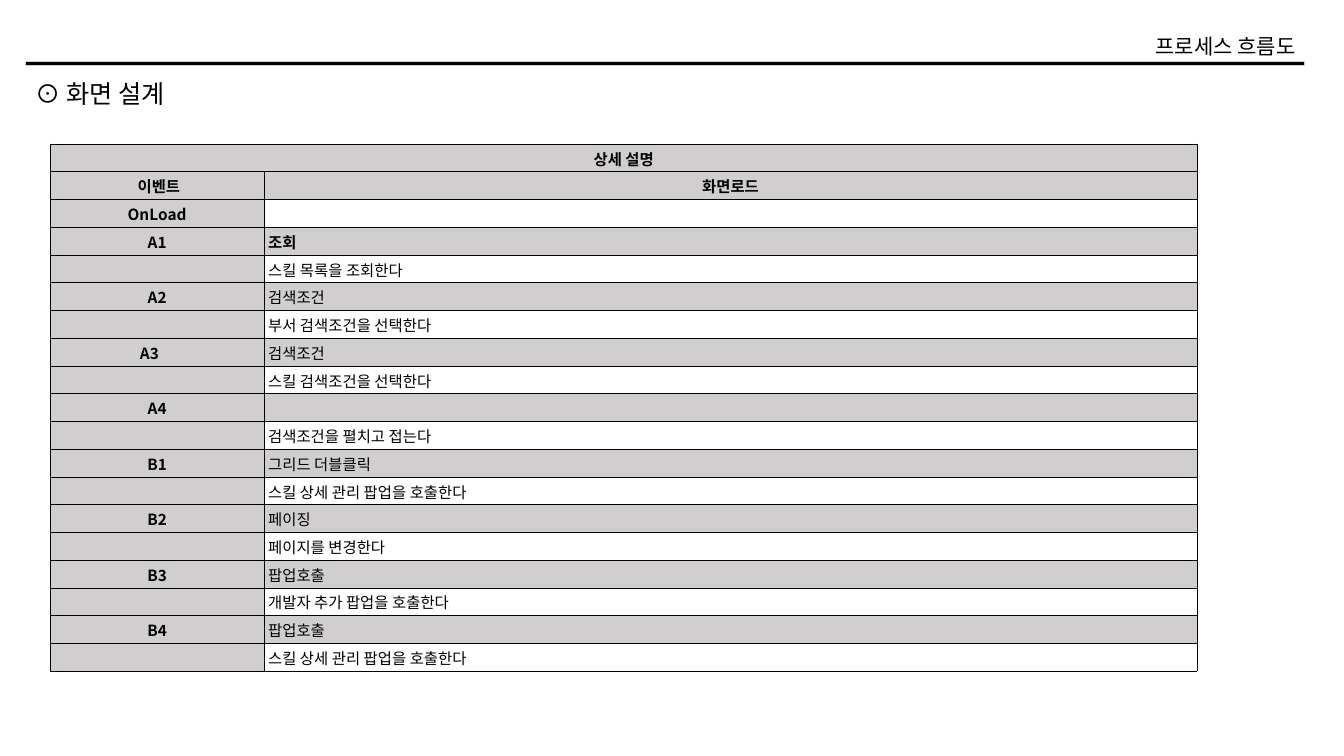
from dataclasses import dataclass

from lxml import etree
from pptx import Presentation
from pptx.dml.color import RGBColor
from pptx.enum.shapes import MSO_SHAPE
from pptx.enum.text import MSO_ANCHOR, MSO_AUTO_SIZE, PP_ALIGN
from pptx.util import Cm, Pt

LEFT, MID, RIGHT = PP_ALIGN.LEFT, PP_ALIGN.CENTER, PP_ALIGN.RIGHT
CENTRE = MSO_ANCHOR.MIDDLE
GROW = MSO_AUTO_SIZE.SHAPE_TO_FIT_TEXT
RECT = MSO_SHAPE.RECTANGLE
FONT = "Noto Sans CJK KR"
BLACK, GREY = "000000", "D0CECE"
BODY = 11
NS = "http://schemas.openxmlformats.org/drawingml/2006/main"


@dataclass
class Title:
    text: str
    left: float
    top: float
    width: float
    height: float
    size: int
    align: PP_ALIGN


@dataclass
class Event:
    code: str
    name: str
    detail: str
    bold: bool = False


@dataclass
class Entry:
    text: str
    align: PP_ALIGN = LEFT
    bold: bool = False
    fill: str = ""


TITLES = [
    Title("프로세스 흐름도", 28.45, 0.71, 4.45, 0.89, 15, RIGHT),
    Title("⊙ 화면 설계", 0.64, 1.85, 4.14, 1.02, 18, LEFT),
]
EVENTS = [
    Event("A1", " 조회", " 스킬 목록을 조회한다", True),
    Event("A2", " 검색조건", " 부서 검색조건을 선택한다"),
    Event("A3\u3000", " 검색조건", " 스킬 검색조건을 선택한다"),
    Event("A4", "", " 검색조건을 펼치고 접는다"),
    Event("B1", " 그리드 더블클릭", " 스킬 상세 관리 팝업을 호출한다"),
    Event("B2", " 페이징", " 페이지를 변경한다"),
    Event("B3", " 팝업호출", " 개발자 추가 팝업을 호출한다"),
    Event("B4", " 팝업호출", " 스킬 상세 관리 팝업을 호출한다"),
]


def color(code: str) -> RGBColor:
    return RGBColor.from_string(code)


def write(para, text: str, size: int, align: PP_ALIGN, bold: bool = False) -> None:
    para.alignment = align
    run = para.add_run()
    run.text = text
    font = run.font
    font.name, font.size, font.bold = FONT, Pt(size), bold
    font.color.rgb = color(BLACK)
    # East Asian text takes its typeface from a:ea
    etree.SubElement(run._r.get_or_add_rPr(), f"{{{NS}}}ea", typeface=FONT)


def head(text: str) -> Entry:
    return Entry(text, MID, True, GREY)


def draw_title(slide, item: Title) -> None:
    box = slide.shapes.add_textbox(
        Cm(item.left), Cm(item.top), Cm(item.width), Cm(item.height))
    frame = box.text_frame
    frame.word_wrap = False
    frame.auto_size = GROW
    write(frame.paragraphs[0], item.text, item.size, item.align)


def draw_edges(cell) -> None:
    props = cell._tc.get_or_add_tcPr()
    for side in ("lnL", "lnR", "lnT", "lnB"):
        edge = etree.SubElement(props, f"{{{NS}}}{side}", w=str(Pt(0.5)))
        fill = etree.SubElement(edge, f"{{{NS}}}solidFill")
        etree.SubElement(fill, f"{{{NS}}}srgbClr", val=BLACK)


def draw_cell(cell, entry: Entry) -> None:
    draw_edges(cell)
    cell.vertical_anchor = CENTRE
    cell.margin_left = cell.margin_right = cell.margin_top = Cm(0.02)
    cell.margin_bottom = 0
    if entry.fill:
        cell.fill.solid()
        cell.fill.fore_color.rgb = color(entry.fill)
    else:
        cell.fill.background()
    para = cell.text_frame.paragraphs[0]
    if entry.text:
        write(para, entry.text, BODY, entry.align, entry.bold)
    else:
        # Keeps an empty cell from stretching its row
        etree.SubElement(para._p, f"{{{NS}}}endParaRPr", sz=str(BODY * 100))


def draw_table(slide, rows: list[list[Entry]]) -> None:
    widths = (5.38, 23.52)
    high = Cm(0.7)
    table = slide.shapes.add_table(
        len(rows), len(widths), Cm(1.27), Cm(3.63),
        Cm(sum(widths)), high * len(rows)).table
    table.first_row = table.horz_banding = False
    for col, width in zip(table.columns, widths):
        col.width = Cm(width)
    for num, row in enumerate(rows):
        table.rows[num].height = high
        for col, entry in enumerate(row):
            draw_cell(table.cell(num, col), entry)
    table.cell(0, 0).merge(table.cell(0, 1))


deck = Presentation()
deck.slide_width, deck.slide_height = Cm(33.87), Cm(19.05)
slide = deck.slides.add_slide(deck.slide_layouts[6])

# Header rule
rule = slide.shapes.add_shape(RECT, Cm(0.64), Cm(1.55), Cm(32.23), Cm(0.1))
rule.shadow.inherit = False
rule.fill.solid()
rule.fill.fore_color.rgb = color(BLACK)
rule.line.color.rgb = color(GREY)
rule.line.width = Pt(0.3)

# Titles
for item in TITLES:
    draw_title(slide, item)

# Event table: headings, then a name row and a detail row per event
rows = [
    [head("상세 설명"), head("")],
    [head(" 이벤트"), head("화면로드")],
    [head("OnLoad"), Entry("")],
]
for event in EVENTS:
    rows.append([head(event.code), Entry(event.name, LEFT, event.bold, GREY)])
    rows.append([head(""), Entry(event.detail)])
draw_table(slide, rows)

deck.save("out.pptx")
